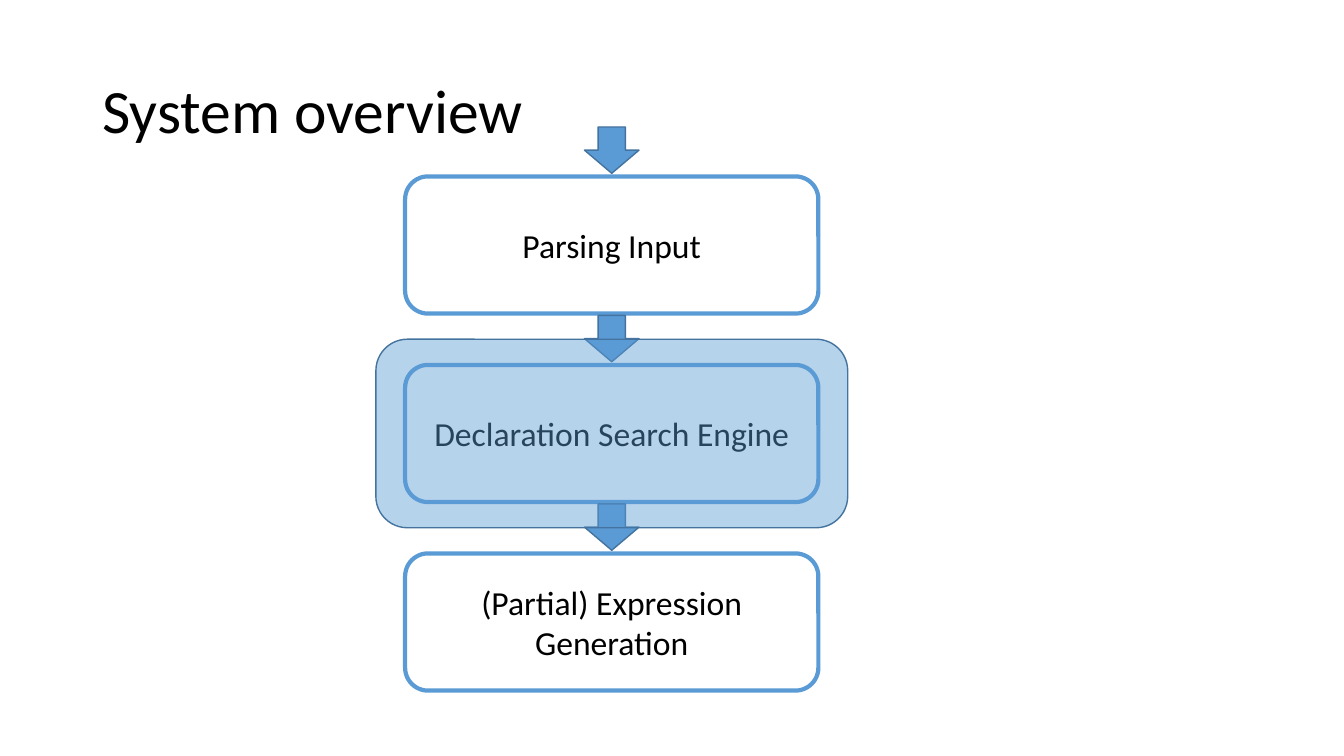
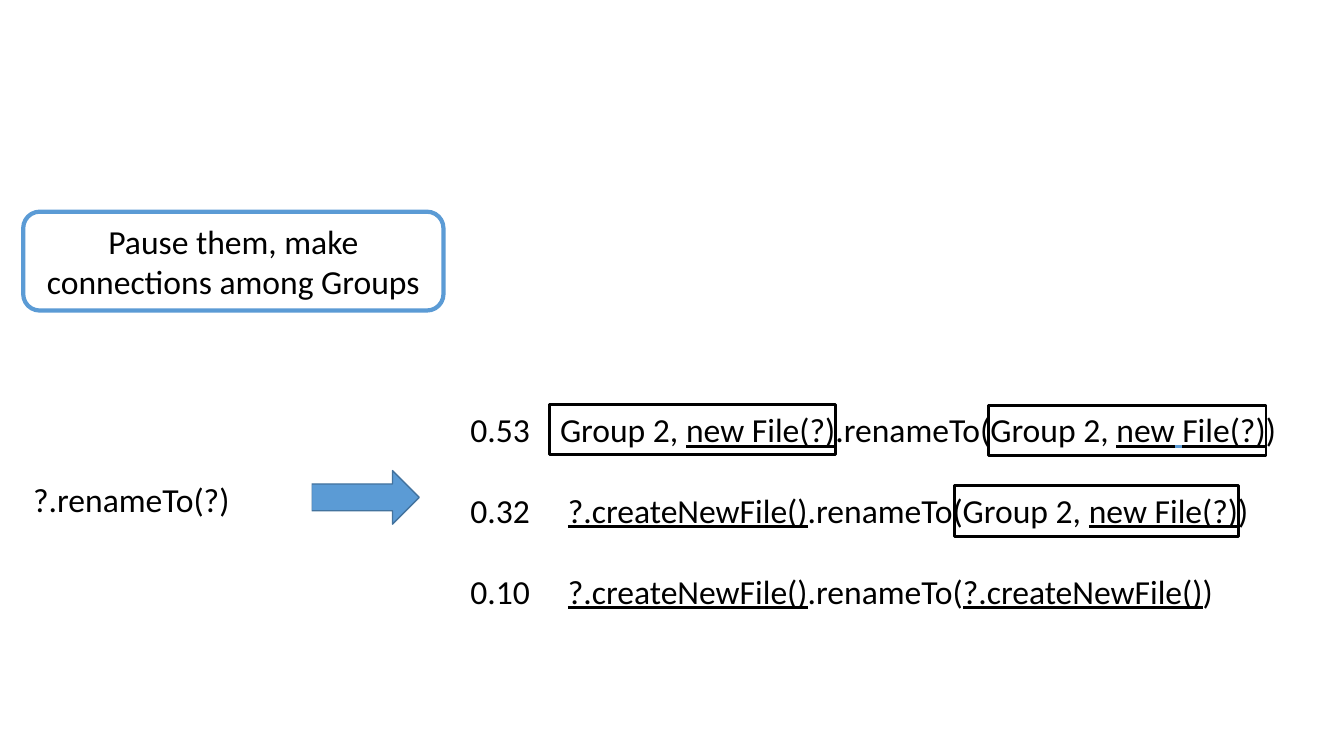
from dataclasses import dataclass, field

from lxml import etree
from pptx import Presentation
from pptx.dml.color import RGBColor
from pptx.enum import shapes, text
from pptx.oxml.ns import qn
from pptx.util import Pt

COLORS = {"white": "FFFFFF", "black": "000000", "blue": "5B9BD5", "edge": "43739E"}
FONT = "Calibri"
BODY = {"name": FONT, "size": Pt(24)}
TITLE = {"name": FONT, "size": Pt(44), "bold": False}
KIND = shapes.MSO_SHAPE


@dataclass
class Box:
    x: float
    y: float
    w: float
    h: float

    def lengths(self) -> list:
        return [Pt(v) for v in (self.x, self.y, self.w, self.h)]


@dataclass
class Run:
    text: str
    underline: bool = False
    color: str = "black"


@dataclass
class Line:
    runs: list[Run] = field(default_factory=list)
    tab: float = 0


def rgb(name: str) -> RGBColor:
    return RGBColor.from_string(COLORS[name])


def add_run(p, run: Run, style: dict) -> None:
    r = p.add_run()
    r.text = run.text
    for key, value in style.items():
        setattr(r.font, key, value)
    if run.underline:
        r.font.underline = True
    r.font.color.rgb = rgb(run.color)


def add_shape(slide, kind, box: Box, fill: str = "", line: str = "edge", weight: float = 1):
    sp = slide.shapes.add_shape(kind, *box.lengths())
    sp.shadow.inherit = False
    if fill:
        sp.fill.solid()
        sp.fill.fore_color.rgb = rgb(fill)
    else:
        sp.fill.background()
    sp.line.color.rgb = rgb(line)
    sp.line.width = Pt(weight)
    return sp


def add_step(slide, box: Box, label: str) -> None:
    sp = add_shape(slide, KIND.ROUNDED_RECTANGLE, box, "white", "blue", 3)
    tf = sp.text_frame
    tf.word_wrap = True
    tf.vertical_anchor = text.MSO_ANCHOR.MIDDLE
    p = tf.paragraphs[0]
    p.alignment = text.PP_ALIGN.CENTER
    add_run(p, Run(label), BODY)


def add_arrow(slide, kind, box: Box) -> None:
    add_shape(slide, kind, box, "blue")


def add_text(slide, box: Box, lines: list[Line], gap: float = 0) -> None:
    sp = slide.shapes.add_textbox(*box.lengths())
    sp.fill.solid()
    sp.fill.fore_color.rgb = rgb("white")
    tf = sp.text_frame
    tf.word_wrap = True
    for i, line in enumerate(lines):
        p = tf.add_paragraph() if i else tf.paragraphs[0]
        if line.tab:
            tabs = etree.SubElement(p._p.get_or_add_pPr(), qn("a:tabLst"))
            etree.SubElement(tabs, qn("a:tab"), pos=str(Pt(line.tab)), algn="l")
        if i:
            p.space_before = Pt(gap)
        for run in line.runs:
            add_run(p, run, BODY)


def set_title(slide, label: str) -> None:
    sp = slide.shapes.title
    sp.left, sp.top, sp.width, sp.height = Box(66, 28.8, 828, 104.4).lengths()
    tf = sp.text_frame
    tf.vertical_anchor = text.MSO_ANCHOR.MIDDLE
    p = tf.paragraphs[0]
    p.alignment = text.PP_ALIGN.LEFT
    p.line_spacing = 0.9
    add_run(p, Run(label), TITLE)


def overview_slide(prs) -> None:
    slide = prs.slides.add_slide(prs.slide_layouts[5])
    set_title(slide, "System overview")

    # Steps, each with an arrow leading into it
    center, top, pitch = 437, 126, 134.64
    step_w, step_h, arrow_w, arrow_h = 295.2, 98, 39, 33.1
    steps = ["Parsing Input", "Declaration Search Engine", "(Partial) Expression Generation"]
    for i, label in enumerate(steps):
        y = top + i * pitch
        add_step(slide, Box(center - step_w / 2, y, step_w, step_h), label)
        add_arrow(slide, KIND.DOWN_ARROW,
                  Box(center - arrow_w / 2, y - 35.3, arrow_w, arrow_h))

    # Translucent highlight around the second step
    w = 337
    y = top + pitch + (step_h - pitch) / 2
    sp = add_shape(slide, KIND.ROUNDED_RECTANGLE, Box(center - w / 2, y, w, pitch), "blue")
    color = sp.fill._xPr.find(".//" + qn("a:srgbClr"))
    etree.SubElement(color, qn("a:alpha"), val="44000")


def groups_slide(prs) -> None:
    slide = prs.slides.add_slide(prs.slide_layouts[6])

    # Query and its arrow
    add_arrow(slide, KIND.RIGHT_ARROW, Box(222.5, 336.2, 77, 38.2))
    add_text(slide, Box(16.6, 338.4, 206, 36), [Line([Run("?.renameTo(?)")])])

    # Ranked candidates
    create = Run("?.createNewFile()", True)
    new_file = Run("new File(?)", True)
    rename_group = Run(".renameTo(Group 2, ")
    end = Run(")")
    add_text(slide, Box(329, 288.7, 614.2, 152.6), [
        Line([Run("0.53\tGroup 2, "), new_file, rename_group, Run("new", True),
              Run(" ", True, "blue"), Run("File(?)", True), end], 64),
        Line([Run("0.32\t"), create, rename_group, new_file, end], 69.6),
        Line([Run("0.10\t"), create, Run(".renameTo("), create, end], 69.6),
    ], gap=28.8)

    add_step(slide, Box(16.6, 151.2, 300.2, 70.6), "Pause them, make connections among Groups")

    # Frames around the group references
    for x, y, w in [(392.4, 288.7, 204.5), (706.3, 289.4, 198), (681.8, 347, 203)]:
        add_shape(slide, KIND.RECTANGLE, Box(x, y, w, 36), line="black", weight=2)


def main() -> None:
    prs = Presentation()
    prs.slide_width, prs.slide_height = Pt(960), Pt(540)
    overview_slide(prs)
    groups_slide(prs)
    prs.save("out.pptx")


if __name__ == "__main__":
    main()
